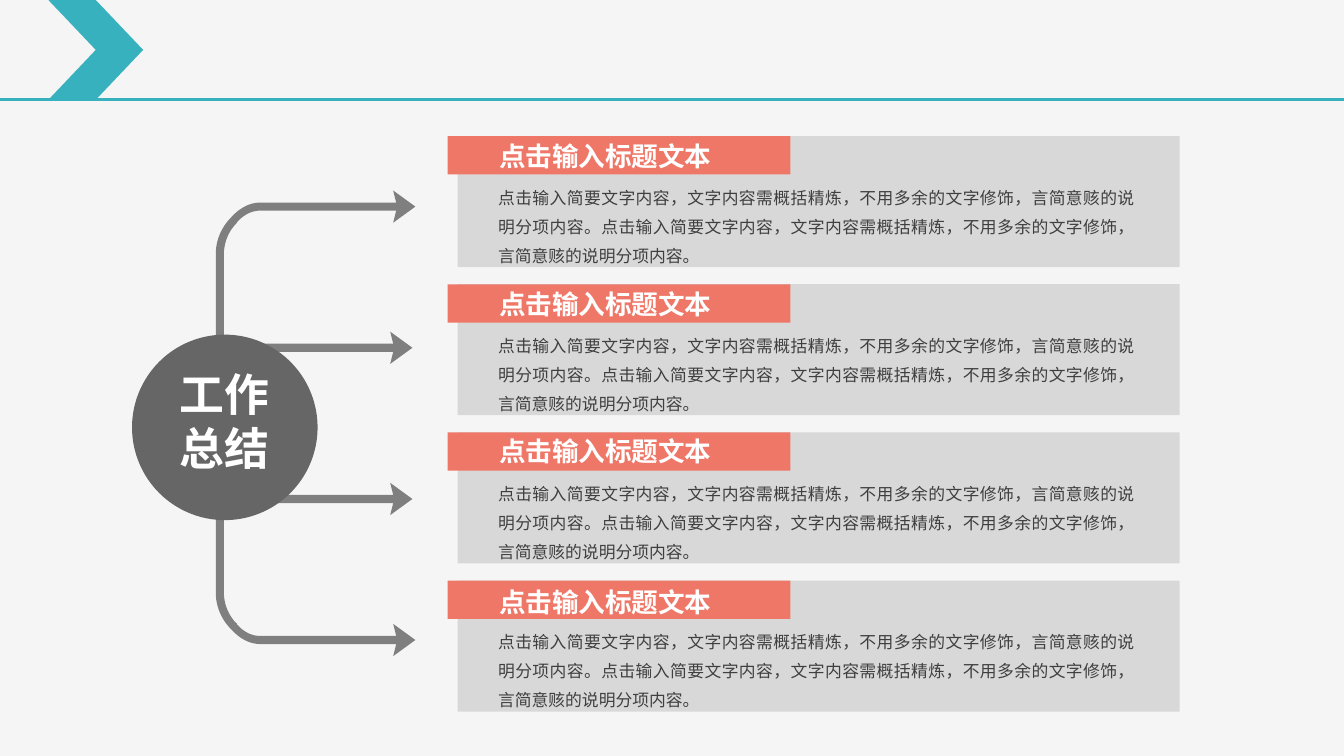
from lxml import etree
from pptx import Presentation
from pptx import util as u
from pptx.dml.color import RGBColor
from pptx.enum import shapes, text
from pptx.oxml.ns import qn

TEAL = RGBColor(0x38, 0xB1, 0xBF)
CORAL = RGBColor(0xEF, 0x77, 0x68)
PALE = RGBColor(0xF5, 0xF5, 0xF5)
PANEL = RGBColor(0xD8, 0xD8, 0xD8)
GREY = RGBColor(0x7F, 0x7F, 0x7F)
DARK = RGBColor(0x66, 0x66, 0x66)
INK = RGBColor(0x3F, 0x3F, 0x3F)
WHITE = RGBColor(0xFF, 0xFF, 0xFF)

HEAD = "点击输入标题文本"
BODY = "点击输入简要文字内容，文字内容需概括精炼，不用多余的文字修饰，言简意赅的说明分项内容。" * 2


class Page:
    font = "Noto Sans CJK SC"

    def __init__(self, slide):
        self.slide = slide
        fill = slide.background.fill
        fill.solid()
        fill.fore_color.rgb = PALE

    def paint(self, item, color):
        item.shadow.inherit = False
        item.fill.solid()
        item.fill.fore_color.rgb = color
        item.line.fill.background()

    def shape(self, kind, box, color):
        item = self.slide.shapes.add_shape(kind, *map(u.Inches, box))
        self.paint(item, color)

    def line(self, start, end, color, width):
        item = self.slide.shapes.add_connector(
            shapes.MSO_CONNECTOR.STRAIGHT, *map(u.Inches, start + end))
        item.line.color.rgb = color
        item.line.width = u.Pt(width)
        etree.SubElement(item._element.spPr, qn("a:effectLst"))

    def outline(self, points, color):
        # The builder rounds to whole units, so lengths go in as EMU
        spots = [(u.Inches(x), u.Inches(y)) for x, y in points]
        form = self.slide.shapes.build_freeform(*spots[0])
        form.add_line_segments(spots[1:], close=True)
        self.paint(form.convert_to_shape(), color)

    def text(self, words, box, size, color, bold=False, align=None,
             space=None, pad=(0.13, 0.07)):
        item = self.slide.shapes.add_textbox(*map(u.Inches, box))
        frame = item.text_frame
        frame.word_wrap = True
        frame.auto_size = text.MSO_AUTO_SIZE.SHAPE_TO_FIT_TEXT
        frame.margin_left = frame.margin_right = u.Inches(pad[0])
        frame.margin_top = frame.margin_bottom = u.Inches(pad[1])
        para = frame.paragraphs[0]
        para.alignment = align
        para.line_spacing = space
        run = para.add_run()
        run.text = words
        run.font.size = u.Pt(size)
        run.font.bold = bold
        run.font.color.rgb = color
        run.font.name = self.font
        east = etree.SubElement(run._r.get_or_add_rPr(), qn("a:ea"))
        east.set("typeface", self.font)


def curve(a, b, c, d, steps=12):
    """Points along a cubic curve, both ends included."""
    return [tuple((1 - t) ** 3 * p + 3 * (1 - t) ** 2 * t * q
                  + 3 * (1 - t) * t ** 2 * r + t ** 3 * s
                  for p, q, r, s in zip(a, b, c, d))
            for t in (i / steps for i in range(steps + 1))]


def tip(x, y):
    """Arrowhead with its point at x, y, from upper to lower neck."""
    return [(x - 0.19, y - 0.04), (x - 0.22, y - 0.16), (x, y),
            (x - 0.22, y + 0.16), (x - 0.19, y + 0.04)]


def main():
    prs = Presentation()
    prs.slide_width, prs.slide_height = u.Inches(13.33), u.Inches(7.5)
    page = Page(prs.slides.add_slide(prs.slide_layouts[6]))
    kind = shapes.MSO_SHAPE

    # Header band
    page.line((0, 0.99), (13.33, 0.99), TEAL, 2.25)
    page.shape(kind.CHEVRON, (0.48, 0, 0.94, 0.99), TEAL)

    # Upper arrows, each mirrored below the middle of the circle
    stem = (curve((2.35, 2.21), (2.27, 2.29), (2.22, 2.4), (2.22, 2.53))
            + [(2.22, 3.85), (2.14, 3.85)]
            + curve((2.14, 2.52), (2.14, 2.38), (2.2, 2.25), (2.29, 2.16)))
    bend = (tip(4.12, 2.05)
            + curve((2.58, 2.09), (2.49, 2.09), (2.4, 2.14), (2.34, 2.22))
            + curve((2.29, 2.16), (2.37, 2.07), (2.47, 2.01), (2.58, 2.01)))
    bar = tip(4.09, 3.45) + [(2.14, 3.49), (2.14, 3.41)]
    for points in (stem, bend, bar):
        page.outline(points, GREY)
        page.outline([(x, 8.4 - y) for x, y in points], GREY)

    # Centre circle
    page.shape(kind.OVAL, (1.31, 3.32, 1.84, 1.84), DARK)
    page.text("工作总结", (1.65, 3.59, 1.15, 1.18), 32, WHITE, bold=True,
              align=text.PP_ALIGN.CENTER, pad=(0.1, 0.05))

    # Four text panels
    for row, head in enumerate((1.32, 2.79, 4.24, 5.74)):
        top = 1.35 + 1.47 * row
        page.shape(kind.RECTANGLE, (4.54, top, 7.16, 1.3), PANEL)
        page.shape(kind.RECTANGLE, (4.44, top, 3.4, 0.38), CORAL)
        page.text(BODY, (4.81, top + 0.35, 6.58, 0.83), 12, INK,
                  align=text.PP_ALIGN.JUSTIFY, space=1.44)
        page.text(HEAD, (4.82, head, 2.48, 0.45), 19, WHITE, bold=True)

    prs.save("out.pptx")


if __name__ == "__main__":
    main()
